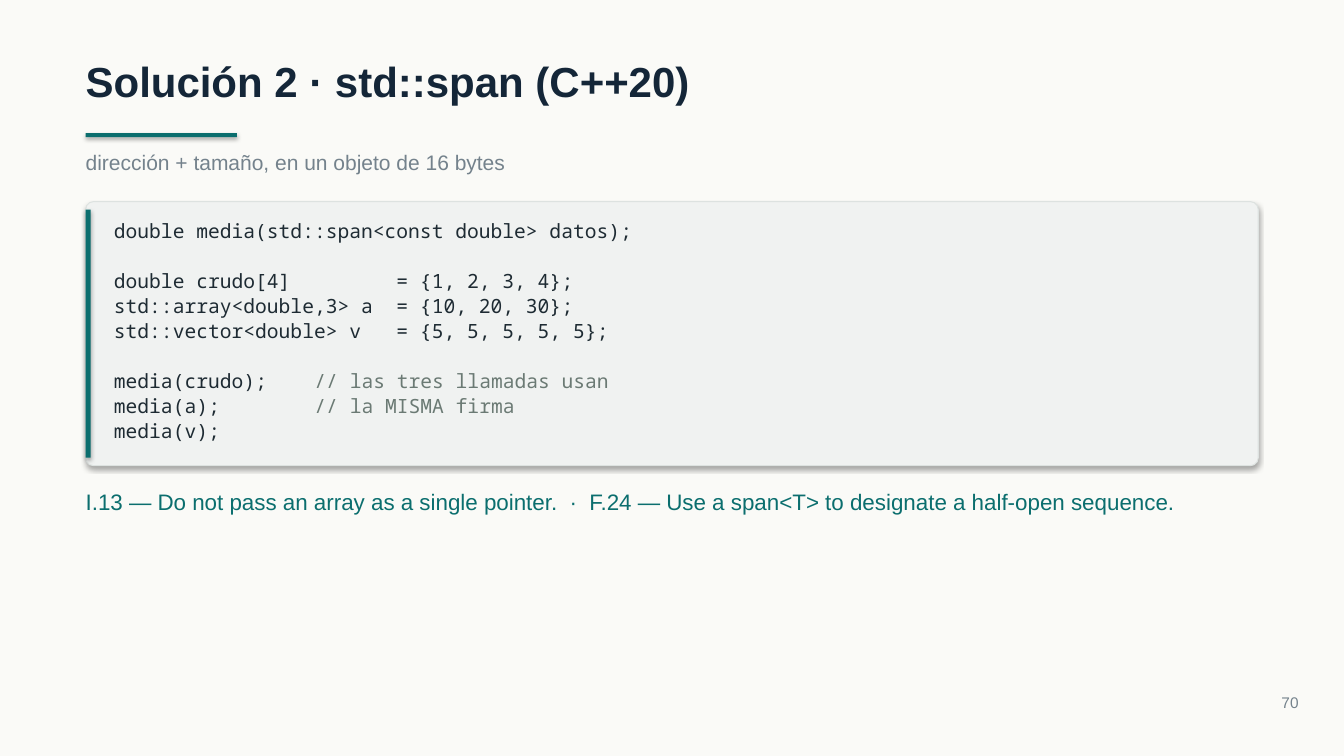
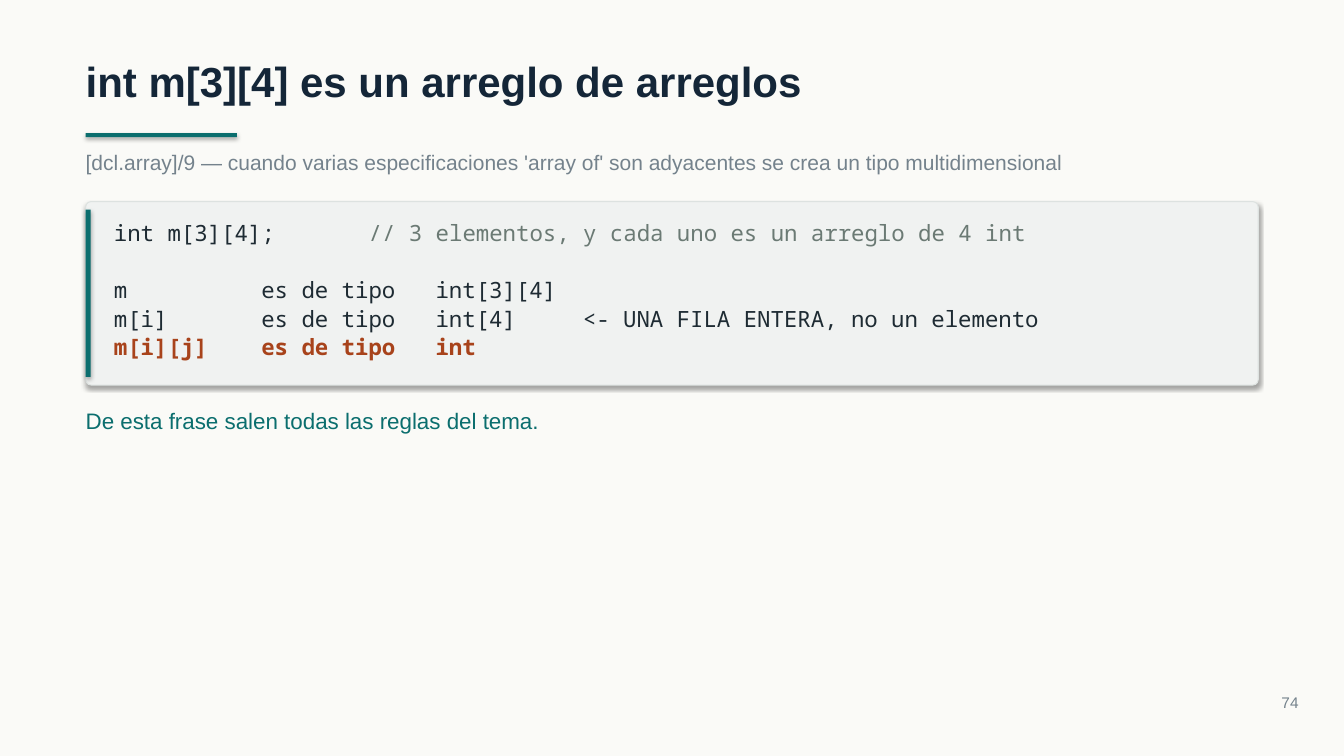
from lxml.etree import SubElement
from pptx import Presentation
from pptx.dml.color import RGBColor
from pptx.enum.shapes import MSO_SHAPE
from pptx.enum.text import MSO_AUTO_SIZE, PP_ALIGN
from pptx.oxml.ns import qn
from pptx.util import Emu, Pt

PX = 9144  # EMU per px, at 100 px to the inch
SLIDE_W, SLIDE_H = 1333, 750
LEFT, CONTENT_W = 85, 1163
CARD_TOP = 200

SANS, MONO = "Arial", "Noto Sans Mono"
COLORS = {
    "paper": "FAFAF7",
    "title": "142638",
    "teal": "0B6E6E",
    "muted": "74828C",
    "card": "F0F2F1",
    "card_edge": "DDE2E0",
    "code": "1E2B33",
    "comment": "6B7A74",
    "highlight": "A8431B",
}

SPAN_CODE = """\
double media(std::span<const double> datos);

double crudo[4]         = {1, 2, 3, 4};
std::array<double,3> a  = {10, 20, 30};
std::vector<double> v   = {5, 5, 5, 5, 5};

media(crudo);    // las tres llamadas usan
media(a);        // la MISMA firma
media(v);"""

MATRIX_CODE = """\
int m[3][4];       // 3 elementos, y cada uno es un arreglo de 4 int

m          es de tipo   int[3][4]
m[i]       es de tipo   int[4]     <- UNA FILA ENTERA, no un elemento
m[i][j]    es de tipo   int"""


def color(name):
    return RGBColor.from_string(COLORS[name])


def box(*lengths):
    return [Emu(length * PX) for length in lengths]


def style(paragraph, size, color_name, face=SANS, bold=False):
    font = paragraph.font
    font.name, font.size, font.bold = face, Pt(size), bold
    font.color.rgb = color(color_name)


def add_frame(slide, left, top, width, height):
    frame = slide.shapes.add_textbox(*box(left, top, width, height)).text_frame
    frame.margin_left = frame.margin_right = 0
    frame.margin_top = frame.margin_bottom = 0
    frame.word_wrap = True
    frame.auto_size = MSO_AUTO_SIZE.SHAPE_TO_FIT_TEXT
    return frame


def add_line_of_text(slide, text, top, height, size, color_name, bold=False,
                     left=LEFT, width=CONTENT_W, align=PP_ALIGN.LEFT):
    paragraph = add_frame(slide, left, top, width, height).paragraphs[0]
    paragraph.text = text
    paragraph.alignment = align
    style(paragraph, size, color_name, bold=bold)


def add_soft_shadow(shape):
    shape.shadow.inherit = False
    effects = shape._element.spPr.find(qn("a:effectLst"))
    shadow = SubElement(effects, qn("a:outerShdw"), blurRad="40000",
                        dist="23000", dir="5400000", rotWithShape="0")
    black = SubElement(shadow, qn("a:srgbClr"), val="000000")
    SubElement(black, qn("a:alpha"), val="35000")


def add_panel(slide, kind, left, top, width, height, fill, edge=None):
    panel = slide.shapes.add_shape(kind, *box(left, top, width, height))
    panel.fill.solid()
    panel.fill.fore_color.rgb = color(fill)
    if edge:
        panel.line.color.rgb = color(edge)
        panel.line.width = Pt(0.75)
    else:
        panel.line.fill.background()
    add_soft_shadow(panel)
    return panel


def add_code(slide, code, size, top, height, highlight):
    frame = add_frame(slide, LEFT + 28, top, CONTENT_W - 45, height)
    paragraph, gap = frame.paragraphs[0], 0
    for number, line in enumerate(code.splitlines()):
        if not line:  # an empty code line becomes space above the next one
            gap = size * 1.27
            continue
        if number:
            paragraph = frame.add_paragraph()
        paragraph.line_spacing = 1.06
        if gap:
            paragraph.space_before, gap = Pt(gap), 0
        marked = number == highlight
        style(paragraph, size, "highlight" if marked else "code", MONO, marked)
        statement, slashes, remark = line.partition("//")
        paragraph.add_run().text = statement
        if slashes:
            comment = paragraph.add_run()
            comment.text = slashes + remark
            comment.font.color.rgb = color("comment")


def add_code_card(slide, code, size, height, highlight=None):
    card = add_panel(slide, MSO_SHAPE.ROUNDED_RECTANGLE, LEFT, CARD_TOP,
                     CONTENT_W, height, "card", "card_edge")
    card.adjustments[0] = 0.03
    add_panel(slide, MSO_SHAPE.RECTANGLE, LEFT, CARD_TOP + 8, 5, height - 16, "teal")
    add_code(slide, code, size, CARD_TOP + 16, height - 40, highlight)


def add_code_slide(deck, title, subtitle, code, code_size, card_height,
                   takeaway, page, highlight=None):
    slide = deck.slides.add_slide(deck.slide_layouts[6])
    # Heading
    add_line_of_text(slide, title, 55, 50, 30, "title", bold=True)
    add_panel(slide, MSO_SHAPE.RECTANGLE, LEFT, 132, 150, 4, "teal")
    add_line_of_text(slide, subtitle, 148, 25, 15, "muted")
    # Code and the rule drawn from it
    add_code_card(slide, code, code_size, card_height, highlight)
    add_line_of_text(slide, takeaway, CARD_TOP + card_height + 22, 27, 16, "teal")
    # Page number
    add_line_of_text(slide, page, 688, 18, 11, "muted",
                     left=1198, width=90, align=PP_ALIGN.RIGHT)


def main():
    deck = Presentation()
    deck.slide_width, deck.slide_height = box(SLIDE_W, SLIDE_H)
    paper = deck.slide_master.background.fill
    paper.solid()
    paper.fore_color.rgb = color("paper")

    add_code_slide(
        deck, "Solución 2 · std::span (C++20)",
        "dirección + tamaño, en un objeto de 16 bytes",
        SPAN_CODE, 14, 262,
        "I.13 — Do not pass an array as a single pointer.  ·  "
        "F.24 — Use a span<T> to designate a half-open sequence.", "70")
    add_code_slide(
        deck, "int m[3][4] es un arreglo de arreglos",
        "[dcl.array]/9 — cuando varias especificaciones 'array of' "
        "son adyacentes se crea un tipo multidimensional",
        MATRIX_CODE, 16, 182,
        "De esta frase salen todas las reglas del tema.", "74", highlight=4)
    deck.save("out.pptx")


if __name__ == "__main__":
    main()
